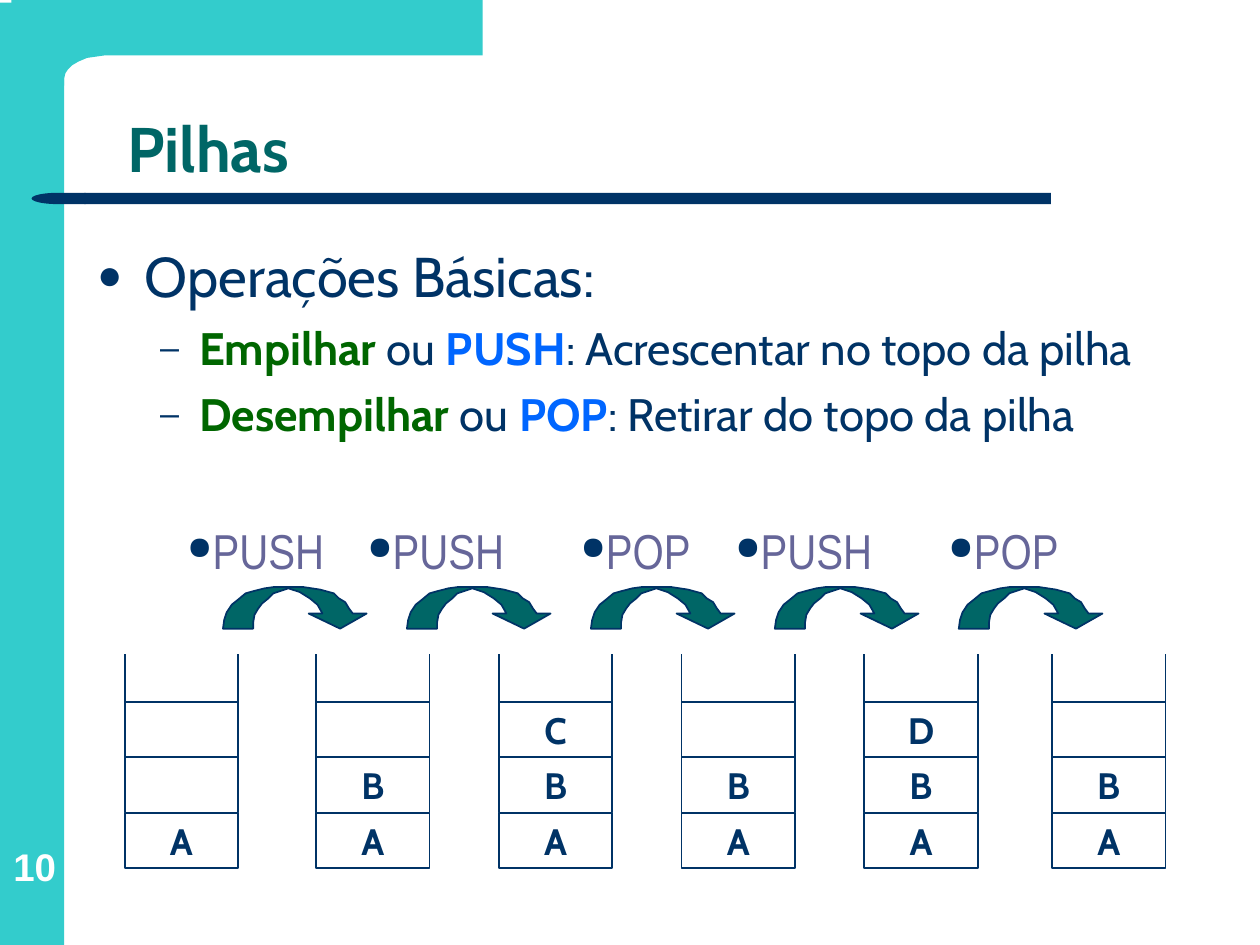
from lxml import etree
from pptx import Presentation
from pptx.dml.color import RGBColor
from pptx.enum.shapes import MSO_SHAPE
from pptx.enum.text import MSO_ANCHOR, MSO_AUTO_SIZE, PP_ALIGN
from pptx.oxml.ns import qn
from pptx.util import Inches, Pt

RECT, ROUND, DELAY = (MSO_SHAPE.RECTANGLE, MSO_SHAPE.ROUNDED_RECTANGLE,
                      MSO_SHAPE.FLOWCHART_DELAY)
LEFT, CENTER, RIGHT = PP_ALIGN.LEFT, PP_ALIGN.CENTER, PP_ALIGN.RIGHT
TOP, MIDDLE, BOTTOM = MSO_ANCHOR.TOP, MSO_ANCHOR.MIDDLE, MSO_ANCHOR.BOTTOM
NAVY, TEAL, AQUA, WHITE = "003366", "006666", "33CCCC", "FFFFFF"
GREEN, BLUE, PURPLE = "006600", "0066FF", "666699"

# Content
TITLE, PAGE = "Pilhas", "10"
HEADING = "Operações Básicas:"
OPERATIONS = [
    [("Empilhar", GREEN, True), (" ou", NAVY, False), (" PUSH", BLUE, True),
     (": Acrescentar no topo da pilha", NAVY, False)],
    [("Desempilhar ", GREEN, True), ("ou ", NAVY, False), ("POP", BLUE, True),
     (": Retirar do topo da pilha", NAVY, False)],
]
STACKS = [(0.99, "A"), (2.51, "AB"), (3.96, "ABC"), (5.41, "AB"),
          (6.86, "ABD"), (8.35, "AB")]  # left edge, items from the bottom up
STEPS = [("PUSH", 1.9), ("PUSH", 3.33), ("POP", 4.83), ("PUSH", 6.25), ("POP", 7.75)]

# Grid of the stacks and arrows, in inches
CELL_W, CELL_H, STACK_TOP, STACK_ROWS = 0.9, 0.44, 5.13, 4
ARROW_LEFT, ARROW_TOP, ARROW_PITCH = 1.77, 4.66, 1.46
LABEL_TOP, LABEL_W, LABEL_H = 4.08, {"PUSH": 0.77, "POP": 0.75}, 0.4

# Outlines, in hundredths of an inch
ARROW = [(0, 33), (1, 26), (3, 20), (7, 14), (12, 10), (18, 5), (25, 3), (33, 1),
         (40, 0), (64, 0), (77, 2), (88, 5), (92, 9), (97, 12), (100, 17), (103, 21),
         (114, 21), (93, 33), (68, 21), (79, 21), (75, 14), (69, 9), (61, 4), (52, 1),
         (40, 5), (36, 9), (31, 13), (28, 17), (25, 22), (24, 28), (24, 33)]
CORNER = [(374, 0), (374, 44), (82, 44), (74, 44), (67, 45), (60, 46), (53, 49),
          (48, 52), (45, 55), (43, 58), (42, 62), (42, 68), (0, 68), (0, 0)]

prs = Presentation()
prs.slide_width, prs.slide_height = Inches(10), Inches(7.5)
slide = prs.slides.add_slide(prs.slide_layouts[1])


def rgb(value):
    return RGBColor.from_string(value)


def paint(shape, fill, line=None):
    shape.shadow.inherit = False
    shape.fill.solid()
    shape.fill.fore_color.rgb = rgb(fill)
    if line:
        shape.line.color.rgb = rgb(line)
        shape.line.width = Pt(1)
    else:
        shape.line.fill.background()
    return shape


def add_block(kind, left, top, width, height, fill, line=None):
    box = [Inches(v) for v in (left, top, width, height)]
    return paint(slide.shapes.add_shape(kind, *box), fill, line)


def add_outline(points, left, top, fill, line=None):
    builder = slide.shapes.build_freeform(*points[0], scale=Inches(0.01))
    builder.add_line_segments(points[1:], close=True)
    return paint(builder.convert_to_shape(Inches(left), Inches(top)), fill, line)


def add_box(left, top, width, height):
    return slide.shapes.add_textbox(*[Inches(v) for v in (left, top, width, height)])


def place(shape, left, top, width, height):
    shape.left, shape.top, shape.width, shape.height = [
        Inches(v) for v in (left, top, width, height)]


def set_frame(shape, anchor=TOP, wrap=True):
    frame = shape.text_frame
    frame.auto_size = MSO_AUTO_SIZE.NONE
    frame.word_wrap, frame.vertical_anchor = wrap, anchor
    return frame


def set_bullet(paragraph, char, percent, margin, indent):
    props = paragraph._p.get_or_add_pPr()
    props.set("marL", str(Inches(margin)))
    props.set("indent", str(Inches(indent)))
    color = etree.SubElement(props, qn("a:buClr"))
    etree.SubElement(color, qn("a:srgbClr"), val=NAVY)
    etree.SubElement(props, qn("a:buSzPct"), val=str(percent * 1000))
    etree.SubElement(props, qn("a:buChar"), char=char)


def write(paragraph, text, size=21, color=NAVY, font="Cabin", bold=False,
          align=LEFT, before=0, bullet=None):
    """Fill a paragraph with a string or with (text, colour, bold) runs."""
    if bullet:
        set_bullet(paragraph, *bullet)
    paragraph.alignment, paragraph.space_before = align, Pt(before)
    for words, run_color, run_bold in ([(text, color, bold)] if isinstance(text, str) else text):
        run = paragraph.add_run()
        run.text = words
        run.font.name, run.font.size, run.font.bold = font, Pt(size), run_bold
        run.font.color.rgb = rgb(run_color)


# Frame: side bar, corner and title rule
add_block(RECT, 0, 0.02, 0.51, 7.5 - 0.02, AQUA)
add_outline(CORNER, 0.09, 0, AQUA)
add_block(ROUND, 0.67, 1.53, 7.67, 0.09, NAVY).adjustments[0] = 0
add_block(DELAY, 0.25, 1.53, 0.43, 0.09, NAVY).rotation = 180

# Page number
page_frame = set_frame(add_box(0.03, 6.52, 0.49, 0.54), BOTTOM)
page_frame.margin_left = page_frame.margin_right = 0
page_frame.margin_top = page_frame.margin_bottom = 0
write(page_frame.paragraphs[0], PAGE, size=22, color=WHITE, font="Arial",
      bold=True, align=CENTER)

# Title and operations
title = slide.shapes.title
place(title, 0.91, 0.44, 8.51, 1.09)
heading = set_frame(title, BOTTOM).paragraphs[0]
write(heading, TITLE, size=36, color=TEAL, bold=True)
heading.line_spacing, heading.space_after = 0.9, Pt(5)

body = slide.placeholders[1]
place(body, 0.67, 1.87, 9.08, 4.95)
body_frame = set_frame(body)
write(body_frame.paragraphs[0], HEADING, size=32, bullet=("●", 75, 0.38, -0.38))
for operation in OPERATIONS:
    item = body_frame.add_paragraph()
    item.level = 1
    write(item, operation, size=26, before=6.5, bullet=("–", 75, 0.81, -0.31))

# Stacks, with the white band that leaves them open at the top
for left, items in STACKS:
    for row in range(STACK_ROWS):
        cell = add_block(RECT, left, STACK_TOP + (STACK_ROWS - 1 - row) * CELL_H,
                         CELL_W, CELL_H, WHITE, NAVY)
        if row < len(items):
            write(set_frame(cell, MIDDLE, wrap=False).paragraphs[0], items[row],
                  bold=True, align=CENTER)
add_block(RECT, 0.67, 4.87, 8.9, 0.32, WHITE)

# Steps between the stacks
for index, (step, left) in enumerate(STEPS):
    add_outline(ARROW, ARROW_LEFT + index * ARROW_PITCH, ARROW_TOP, TEAL, NAVY)
    label = add_box(left, LABEL_TOP, LABEL_W[step], LABEL_H)
    write(set_frame(label, wrap=False).paragraphs[0], step, size=28, color=PURPLE,
          font="Arial Narrow", align=RIGHT, bullet=("●", 65, 0, 0))

prs.save("out.pptx")
